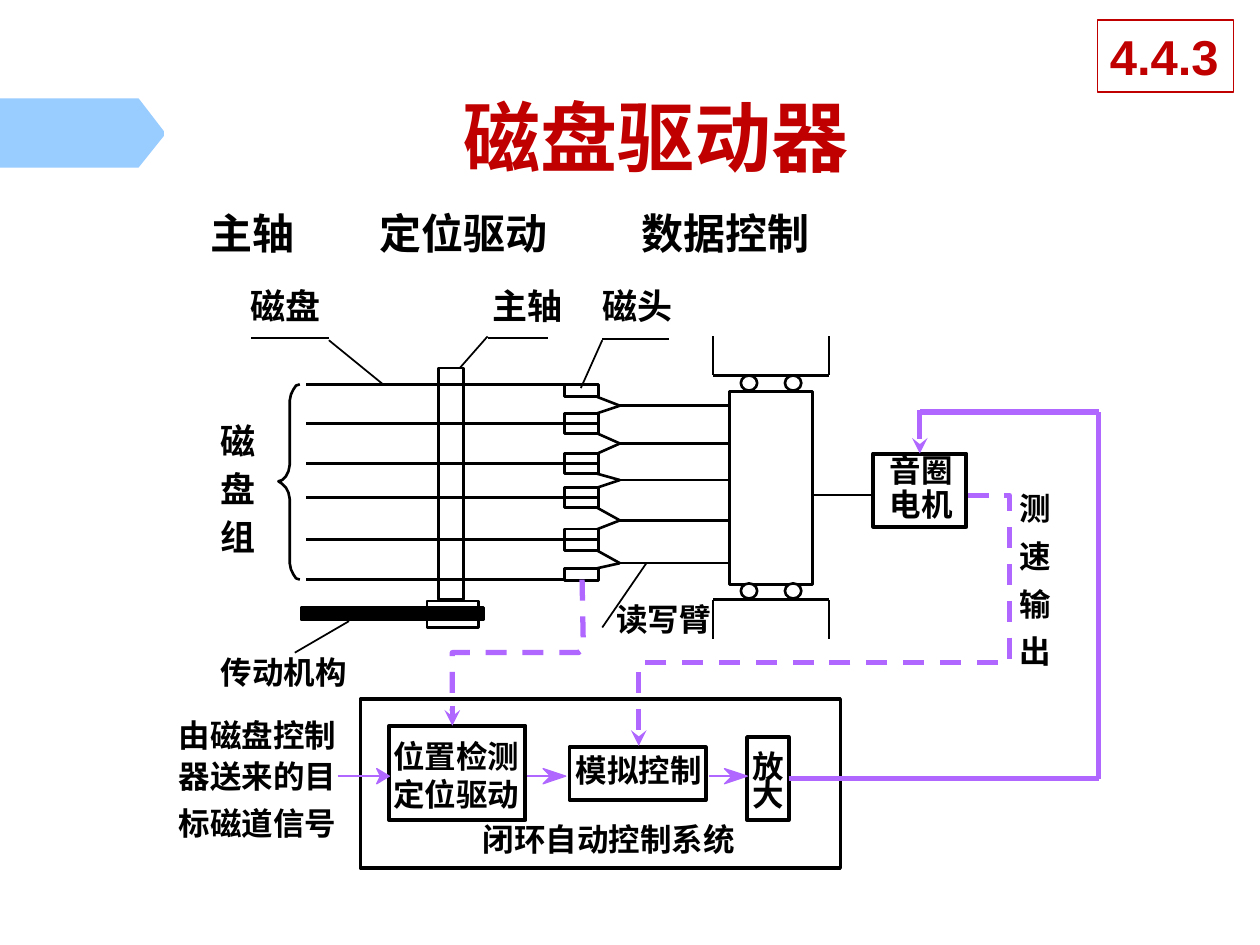
from lxml import etree
from pptx import Presentation, util as u
from pptx.dml.color import RGBColor
from pptx.enum import dml, shapes, text
from pptx.oxml.ns import qn

BLACK, WHITE, RED = "000000", "FFFFFF", "C00000"
SIGNAL, SKY = "AF67FF", "99CCFF"
THIN, NORMAL, BOX, THICK = 1, 1.5, 2.25, 3
CJK = "Noto Sans CJK SC"


def color(hex_code):
    return RGBColor.from_string(hex_code)


class SlideArtist:
    """Holds the text style and the slide being drawn."""

    def __init__(self, slide, font="Arial", ink=BLACK):
        self.slide, self.font, self.ink = slide, font, ink

    def add_run(self, paragraph, words, size, font=None, ink=None):
        run = paragraph.add_run()
        run.text = words
        run.font.size, run.font.bold = u.Pt(size), True
        run.font.name = font or self.font
        run.font.color.rgb = color(ink or self.ink)
        if not words.isascii():
            east_asian = etree.SubElement(run._r.get_or_add_rPr(), qn("a:ea"))
            east_asian.set("typeface", CJK)

    def title(self, words, left, top, width, height):
        heading = self.slide.shapes.title
        heading.left, heading.top = u.Inches(left), u.Inches(top)
        heading.width, heading.height = u.Inches(width), u.Inches(height)
        frame = heading.text_frame
        frame.vertical_anchor = text.MSO_ANCHOR.MIDDLE
        frame.paragraphs[0].alignment = text.PP_ALIGN.CENTER
        self.add_run(frame.paragraphs[0], words, 44, CJK, RED)

    def label(self, words, left, top, size=18, font=None, inset=None):
        """Place one line of text in a box slightly wider than its characters."""
        width, height = len(words) * size / 72 + 0.02, size / 60
        if inset is None:
            width, height = width + 0.2, height + 0.1
        area = self.slide.shapes.add_textbox(
            u.Inches(left), u.Inches(top), u.Inches(width), u.Inches(height))
        frame = area.text_frame
        frame.word_wrap = False
        if inset is not None:
            frame.margin_left = frame.margin_right = u.Inches(inset)
            frame.margin_top = frame.margin_bottom = u.Inches(inset)
        self.add_run(frame.paragraphs[0], words, size, font)

    def tight_labels(self, items, size=18):
        for words, left, top in items:
            self.label(words, left, top, size, inset=0)

    def paint(self, shape, fill, line, weight):
        shape.shadow.inherit = False
        if fill:
            shape.fill.solid()
            shape.fill.fore_color.rgb = color(fill)
        else:
            shape.fill.background()
        if line:
            shape.line.color.rgb = color(line)
            shape.line.width = u.Pt(weight)
        else:
            shape.line.fill.background()
        return shape

    def box(self, left, top, width, height, weight=NORMAL, fill=None,
            line=BLACK, kind=shapes.MSO_SHAPE.RECTANGLE):
        shape = self.slide.shapes.add_shape(
            kind, u.Inches(left), u.Inches(top), u.Inches(width), u.Inches(height))
        return self.paint(shape, fill, line, weight)

    def outline(self, points, closed=False, fill=None, line=BLACK, weight=NORMAL):
        (x, y), *rest = [(u.Inches(px), u.Inches(py)) for px, py in points]
        builder = self.slide.shapes.build_freeform(x, y)
        builder.add_line_segments(rest, close=closed)
        return self.paint(builder.convert_to_shape(), fill, line, weight)

    def line(self, x1, y1, x2, y2, weight=NORMAL, ink=BLACK):
        link = self.slide.shapes.add_connector(
            shapes.MSO_CONNECTOR.STRAIGHT,
            u.Inches(x1), u.Inches(y1), u.Inches(x2), u.Inches(y2))
        link.line.color.rgb = color(ink)
        link.line.width = u.Pt(weight)
        etree.SubElement(link._element.spPr, qn("a:effectLst"))
        return link

    def point(self, shape):
        """Put a stealth arrowhead at the end of a line."""
        etree.SubElement(shape.line._get_or_add_ln(), qn("a:tailEnd"), type="stealth")

    def dashed_signal(self, points):
        route = self.outline(points, line=SIGNAL, weight=THICK)
        route.line.dash_style = dml.MSO_LINE.DASH
        self.point(route)

    def short_signal(self, start, tip, y, head=0.18, notch=0.06):
        self.line(start, y, tip - head + 0.08, y, ink=SIGNAL)
        back = tip - head
        self.outline([(back, y + 0.06), (tip, y), (back, y - 0.06), (back + notch, y)],
                     closed=True, fill=SIGNAL, line=SIGNAL, weight=0.75)


def draw_disk_pack(art):
    art.box(3.48, 2.92, 0.2, 1.84)
    disks = [3.05, 3.36, 3.68, 3.95, 4.28, 4.6]
    heads = [(3.05, 0.1), (3.28, 0.16), (3.6, 0.16), (3.87, 0.16), (4.2, 0.17), (4.51, 0.1)]
    for y, (top, height) in zip(disks, heads):
        outer = y in (disks[0], disks[-1])
        art.line(2.43, y, 4.48 if outer else 4.74, y)
        art.box(4.48, top, 0.27, height)
    arms = [3.22, 3.52, 3.81, 4.13, 4.47]
    for y, (top, height), (next_top, _) in zip(arms, heads, heads[1:]):
        art.line(4.74, top + height, 4.92, y)
        art.line(4.74, next_top, 4.92, y)
        art.line(4.92, y, 5.79, y)
    art.box(3.39, 4.77, 0.41, 0.21)
    art.box(2.39, 4.82, 1.45, 0.1, fill=BLACK)
    upper = [(2.38, 3.05), (2.35, 3.06), (2.33, 3.09), (2.31, 3.13), (2.3, 3.18),
             (2.3, 3.69), (2.29, 3.74), (2.27, 3.78), (2.24, 3.81)]
    lower = [(x, 7.65 - y) for x, y in reversed(upper)]
    art.outline(upper + [(2.21, 3.82)] + lower)


def draw_carriage(art):
    art.box(5.79, 3.11, 0.66, 1.53)
    for rail, outer, roller in [(2.98, 2.67, 2.98), (4.76, 5.07, 4.63)]:
        for x in (5.88, 6.23):
            art.box(x, roller, 0.13, 0.12, fill=WHITE, kind=shapes.MSO_SHAPE.OVAL)
        for x in (5.66, 6.58):
            art.line(x, outer, x, rail)
        art.line(5.66, rail, 6.58, rail)
    art.line(6.45, 3.93, 6.92, 3.93)


def draw_callouts(art):
    for leader in [(3.04, 3.05, 2.61, 2.7), (2.61, 2.68, 1.99, 2.68),
                   (4.61, 3.08, 4.78, 2.7), (4.78, 2.69, 5.31, 2.69),
                   (3.65, 2.92, 3.87, 2.67), (3.87, 2.68, 4.35, 2.68),
                   (5.13, 4.47, 4.78, 4.98), (2.34, 5.18, 2.77, 4.93)]:
        art.line(*leader, weight=THIN)
    art.tight_labels([("磁盘", 1.99, 2.26), ("主轴", 3.91, 2.26), ("磁头", 4.78, 2.26)], 20)
    art.tight_labels([(c, 1.75, 3.33 + 0.38 * i) for i, c in enumerate("磁盘组")], 20)
    art.tight_labels([(c, 8.09, 3.88 + 0.38 * i) for i, c in enumerate("测速输出")])
    art.tight_labels([("读写臂", 4.89, 4.76), ("传动机构", 1.75, 5.18),
                      ("由磁盘控制", 1.42, 5.68), ("器送来的目", 1.42, 6.01),
                      ("标磁道信号", 1.42, 6.38)])


def draw_control_loop(art):
    art.box(2.86, 5.55, 3.81, 1.34, 2)
    motor = art.box(6.93, 3.6, 0.74, 0.58, BOX)
    art.box(3.09, 5.76, 1.08, 0.75, BOX)
    art.box(4.52, 5.93, 1.08, 0.42, BOX)
    amplifier = art.box(5.93, 5.85, 0.33, 0.66, BOX)
    art.tight_labels([("音圈", 7.06, 3.58), ("电机", 7.06, 3.85),
                      ("位置检测", 3.12, 5.85), ("定位驱动", 3.12, 6.15),
                      ("模拟控制", 4.57, 5.96), ("放", 5.97, 5.93), ("大", 5.97, 6.15),
                      ("闭环自动控制系统", 3.83, 6.51)])
    art.dashed_signal([(4.62, 4.6), (4.63, 5.15), (4.59, 5.18), (3.59, 5.18), (3.59, 5.76)])
    art.line(3.59, 5.68, 3.59, 5.6, THICK, SIGNAL)
    art.dashed_signal([(7.68, 3.93), (8.01, 3.93), (8.01, 5.26), (5.07, 5.26), (5.07, 5.92)])
    output_y, return_x = 6.18, 7.3
    output = art.line(6.26, output_y, 8.72, output_y, THICK, SIGNAL)
    output.begin_connect(amplifier, 3)
    art.line(8.72, output_y, 8.72, 3.27, THICK, SIGNAL)
    art.line(8.72, 3.27, return_x, 3.27, THICK, SIGNAL)
    drive = art.line(return_x, 3.25, return_x, 3.6, THICK, SIGNAL)
    drive.end_connect(motor, 0)
    art.point(drive)
    art.short_signal(2.68, 3.09, 6.16, head=0.1, notch=0.03)
    art.short_signal(4.18, 4.49, 6.16)
    art.short_signal(5.63, 5.93, 6.16)


def main():
    deck = Presentation()
    deck.slide_width, deck.slide_height = u.Inches(10), u.Inches(7.5)
    art = SlideArtist(deck.slides.add_slide(deck.slide_layouts[5]))
    art.outline([(0, 0.78), (1.1, 0.78), (1.3, 1.04), (1.3, 1.08), (1.1, 1.33), (0, 1.33)],
                closed=True, fill=SKY, line=None)
    art.title("磁盘驱动器", 1.34, 0.66, 7.73, 0.84)
    for words, left in [("主轴", 1.57), ("定位驱动", 2.91), ("数据控制", 4.99)]:
        art.label(words, left, 1.6, 24, "Times New Roman")
    draw_disk_pack(art)
    draw_carriage(art)
    draw_callouts(art)
    draw_control_loop(art)
    section = art.box(8.71, 0.16, 1.08, 0.57, 0.75, WHITE, RED).text_frame
    section.word_wrap = True
    section.vertical_anchor = text.MSO_ANCHOR.TOP
    section.paragraphs[0].alignment = text.PP_ALIGN.LEFT
    art.add_run(section.paragraphs[0], "4.4.3", 28, ink=RED)
    deck.save("out.pptx")


if __name__ == "__main__":
    main()
